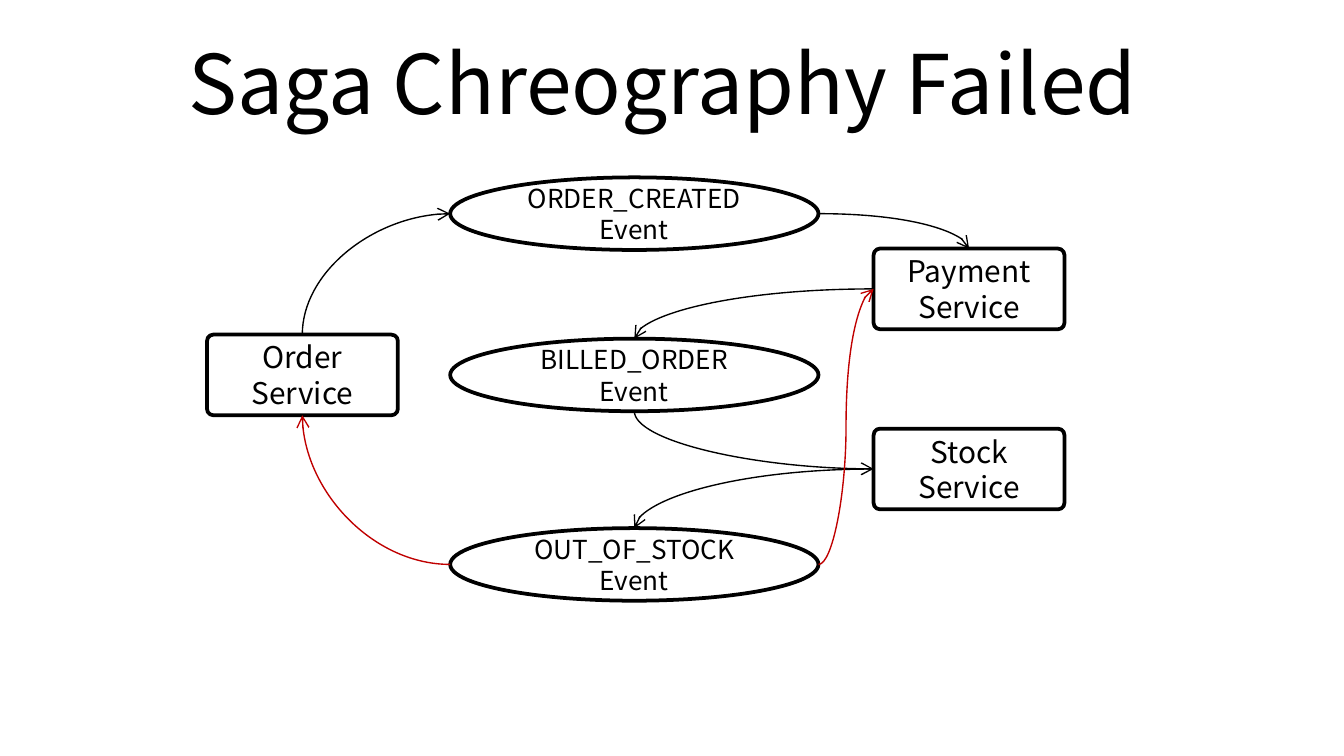
from lxml.etree import SubElement
from pptx import Presentation
from pptx.dml.color import RGBColor
from pptx.enum.shapes import MSO_CONNECTOR as Connector, MSO_SHAPE as Preset
from pptx.enum.text import MSO_ANCHOR as Anchor, PP_ALIGN as Align
from pptx.oxml.ns import qn
from pptx.util import Pt

COLORS = {"ink": "000000", "paper": "FFFFFF", "failure": "C00000"}
FONT = "Noto Sans CJK KR"

# Each side as a fraction of width and height, and its connection site by preset
SIDES = {"top": (0.5, 0), "left": (0, 0.5), "bottom": (0.5, 1), "right": (1, 0.5)}
SITES = {
    Preset.ROUNDED_RECTANGLE: {"top": 0, "left": 1, "bottom": 2, "right": 3},
    Preset.OVAL: {"top": 0, "left": 2, "bottom": 4, "right": 6},
}


def color(name):
    return RGBColor.from_string(COLORS[name])


def write_text(shape, text, size, ink="ink"):
    """Fill a shape with centred text, one paragraph per line."""
    frame = shape.text_frame
    frame.word_wrap = True
    frame.vertical_anchor = Anchor.MIDDLE
    frame.text = text
    for paragraph in frame.paragraphs:
        paragraph.alignment = Align.CENTER
        for run in paragraph.runs:
            run.font.name = FONT
            run.font.size = Pt(size)
            run.font.color.rgb = color(ink)
            properties = run.font._element
            SubElement(properties, qn("a:ea")).set("typeface", FONT)


class Diagram:
    """Holds the line style and the slide being drawn."""

    border = 2
    arrow_width = 0.75

    def __init__(self, slide):
        self.slide = slide

    def title(self, text, left, top, width, height):
        box = self.slide.shapes.add_textbox(Pt(left), Pt(top), Pt(width), Pt(height))
        write_text(box, text, size=44)

    def node(self, preset, text, left, top, width, height, size):
        shape = self.slide.shapes.add_shape(preset, Pt(left), Pt(top), Pt(width), Pt(height))
        shape.shadow.inherit = False
        shape.fill.solid()
        shape.fill.fore_color.rgb = color("paper")
        shape.line.color.rgb = color("ink")
        shape.line.width = Pt(self.border)
        write_text(shape, text, size=size)
        return shape

    def service(self, name, left, top):
        shape = self.node(Preset.ROUNDED_RECTANGLE, f"{name}\nService", left, top, 102.24, 43.2, 16)
        shape.adjustments[0] = 0.08
        return shape

    def event(self, text, top):
        return self.node(Preset.OVAL, text, 241.2, top, 197.28, 38.88, 14)

    def curve(self, start, end, ink="ink", arrow="tailEnd", preset="curvedConnector2"):
        """Join two (shape, side) ends; the curve leaves its start horizontally."""
        points = []
        for shape, side in (start, end):
            across, down = SIDES[side]
            points += [int(shape.left + across * shape.width), int(shape.top + down * shape.height)]
        connector = self.slide.shapes.add_connector(Connector.CURVE, *points)
        connector.line.color.rgb = color(ink)
        connector.line.width = Pt(self.arrow_width)

        # Connector outline, arrowhead and no shadow
        element = connector._element
        element.spPr.find(qn("a:prstGeom")).set("prst", preset)
        SubElement(connector.line._get_or_add_ln(), qn(f"a:{arrow}")).set("type", "arrow")
        SubElement(element.spPr, qn("a:effectLst"))

        # Attach both ends, since ovals have eight connection sites
        links = element.find(".//" + qn("p:cNvCxnSpPr"))
        for tag, (shape, side) in (("a:stCxn", start), ("a:endCxn", end)):
            link = SubElement(links, qn(tag))
            link.set("id", str(shape.shape_id))
            link.set("idx", str(SITES[shape.auto_shape_type][side]))


def main():
    presentation = Presentation()
    presentation.slide_width, presentation.slide_height = Pt(720), Pt(405)
    diagram = Diagram(presentation.slides.add_slide(presentation.slide_layouts[6]))

    diagram.title("Saga Chreography Failed ", 36, 10.08, 648, 67.68)

    # Services
    order = diagram.service("Order", 110.88, 179.28)
    payment = diagram.service("Payment", 468, 133.2)
    stock = diagram.service("Stock", 468, 229.68)

    # Events
    created = diagram.event("ORDER_CREATED Event", 95.04)
    billed = diagram.event("BILLED_ORDER Event", 181.44)
    out_of_stock = diagram.event("OUT_OF_STOCK\nEvent", 282.96)

    # Forward flow
    diagram.curve((created, "left"), (order, "top"), arrow="headEnd")
    diagram.curve((created, "right"), (payment, "top"))
    diagram.curve((payment, "left"), (billed, "top"))
    diagram.curve((stock, "left"), (billed, "bottom"), arrow="headEnd")
    diagram.curve((stock, "left"), (out_of_stock, "top"))

    # Compensating flow
    diagram.curve((out_of_stock, "left"), (order, "bottom"), ink="failure")
    diagram.curve((out_of_stock, "right"), (payment, "left"), ink="failure",
                  preset="curvedConnector3")

    presentation.save("out.pptx")


if __name__ == "__main__":
    main()
